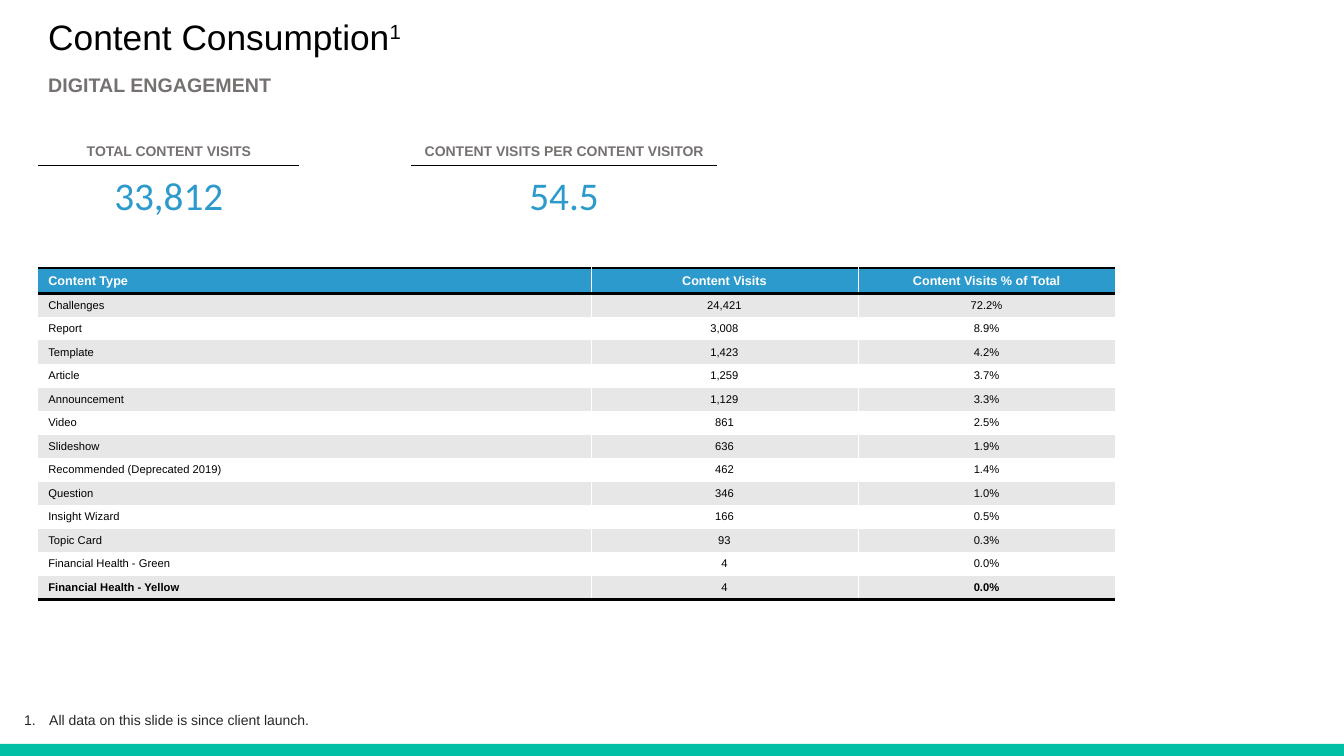
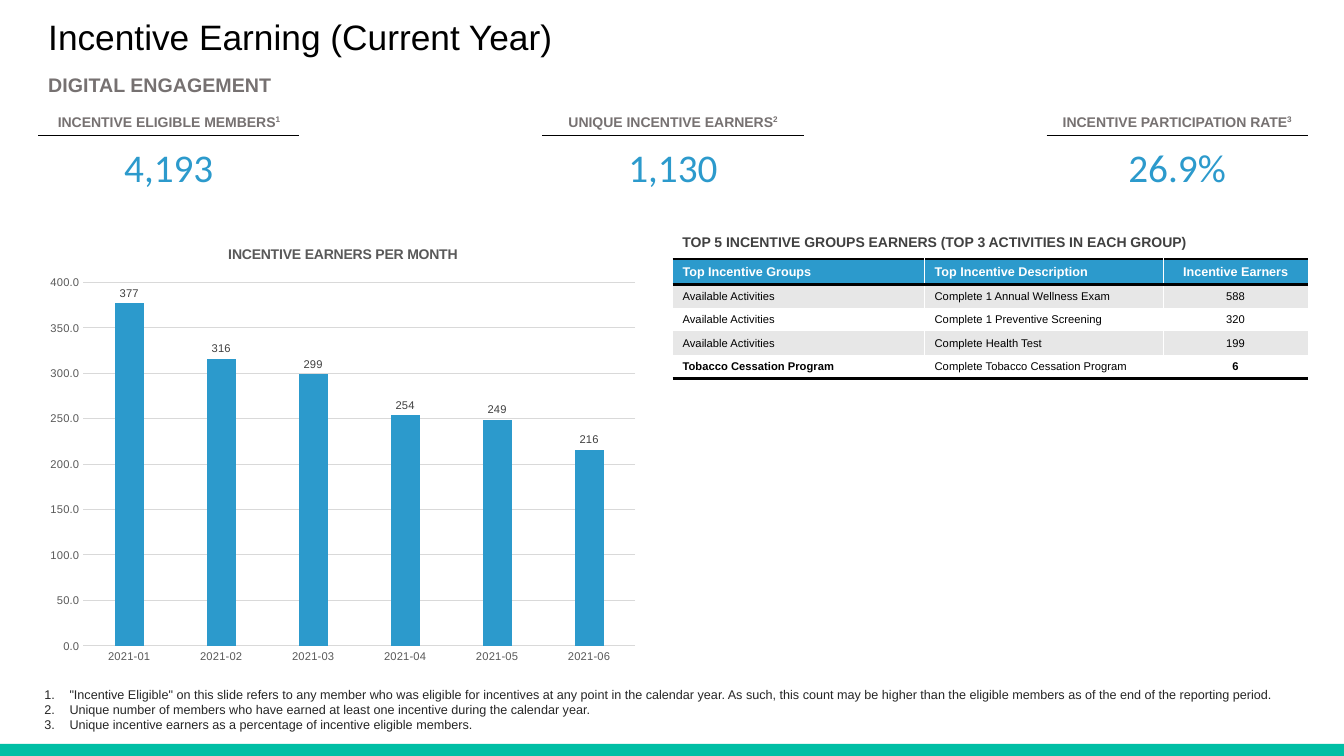
from pptx import Presentation, util as u
from pptx.chart.data import CategoryChartData
from pptx.dml.color import RGBColor
from pptx.enum import chart as ch, shapes, text
from pptx.oxml import parse_xml
from pptx.oxml.ns import nsdecls, qn

IN = u.Inches
BLUE, TEAL, GREY, BLACK, WHITE = "2C9ACC", "00BFA5", "767171", "000000", "FFFFFF"
STRIPE, GRID, AXIS, DARK, NOTE = "E7E7E7", "D9D9D9", "595959", "404040", "262626"
LEFT, MID = text.PP_ALIGN.LEFT, text.PP_ALIGN.CENTER
EDGE = 0.38
PLAIN = "{2D5ABB26-0587-4C30-8999-92F81FD0307C}"


def rgb(code):
    return RGBColor.from_string(code)


def style(font, size, color, bold=False, face="Arial"):
    font.size, font.bold, font.name = u.Pt(size), bold, face
    font.color.rgb = rgb(color)


def write(par, words, sup="", align=LEFT, space=None, **look):
    """Fill a paragraph, with an optional raised mark at its end."""
    par.alignment = align
    if space:
        par.line_spacing = space
    for part in filter(None, (words, sup)):
        run = par.add_run()
        run.text = part
        style(run.font, **look)
    if sup:
        run.font._element.set("baseline", "30000")


def label(slide, box, words, inset=None, middle=False, number=False, **look):
    """Text box with one paragraph for each item of words."""
    frame = slide.shapes.add_textbox(*map(IN, box)).text_frame
    frame.word_wrap = True
    if middle:
        frame.vertical_anchor = text.MSO_ANCHOR.MIDDLE
    if inset is not None:
        frame.margin_left = frame.margin_right = IN(inset)
        frame.margin_top = frame.margin_bottom = IN(inset)
    lines = [words] if isinstance(words, str) else words
    for i, line in enumerate(lines):
        par = frame.add_paragraph() if i else frame.paragraphs[0]
        write(par, line, **look)
        if number:
            props = par._p.get_or_add_pPr()
            props.set("marL", str(IN(0.25)))
            props.set("indent", str(-IN(0.25)))
            props.append(parse_xml(
                f'<a:buAutoNum {nsdecls("a")} type="arabicPeriod"/>'))


def border(cell, **sides):
    """Draw cell edges; each side is a (colour, points) pair."""
    props = cell._tc.get_or_add_tcPr()
    for side in "LRTB":
        if side in sides:
            color, width = sides[side]
            props.append(parse_xml(
                f'<a:ln{side} {nsdecls("a")} w="{u.Pt(width)}"><a:solidFill>'
                f'<a:srgbClr val="{color}"/></a:solidFill></a:ln{side}>'))


def grid(slide, left, top, cols, heights):
    """Unstyled table with the given column widths and row heights."""
    frame = slide.shapes.add_table(
        len(heights), len(cols), IN(left), IN(top), IN(sum(cols)), IN(sum(heights)))
    table = frame.table
    table.first_row = table.horz_banding = False
    next(frame._element.iter(qn("a:tableStyleId"))).text = PLAIN
    for col, width in zip(table.columns, cols):
        col.width = IN(width)
    for row, height in zip(table.rows, heights):
        row.height = IN(height)
    return table


def data_table(slide, left, top, cols, rows, centred):
    """Blue header, striped body and black rules."""
    table = grid(slide, left, top, cols, [0.24] + [0.22] * (len(rows) - 1))
    end, last = len(rows) - 1, len(cols) - 1
    for i, row in enumerate(rows):
        head = i == 0
        for j, words in enumerate(row):
            cell = table.cell(i, j)
            sides = {}
            if j > 0:
                sides["L"] = (WHITE, 0.5)
            if j < last:
                sides["R"] = (WHITE, 0.5)
            if head:
                sides["T"] = (BLACK, 2)
            if i in (0, end):
                sides["B"] = (BLACK, 2)
            border(cell, **sides)
            cell.fill.solid()
            cell.fill.fore_color.rgb = rgb(BLUE if head else STRIPE if i % 2 else WHITE)
            cell.vertical_anchor = text.MSO_ANCHOR.MIDDLE
            write(cell.text_frame.paragraphs[0], words,
                  align=MID if j in centred else LEFT,
                  size=9 if head else 8, color=WHITE if head else BLACK,
                  bold=head or (i == end and j != 1))


def metric(slide, left, top, width, name, value, sup="", height=0.28):
    """Underlined caption with a large figure centred below it."""
    cell = grid(slide, left, top, [width], [height]).cell(0, 0)
    border(cell, B=(BLACK, 1))
    cell.vertical_anchor = text.MSO_ANCHOR.MIDDLE
    write(cell.text_frame.paragraphs[0], name, sup, MID,
          size=10, color=GREY, bold=True)
    label(slide, (left + width / 2 - 1, top + 0.29, 2, 0.57), value,
          align=MID, size=28, color=BLUE, face="Calibri")


def bars(slide, box, title, cats, vals):
    """Column chart of monthly counts."""
    data = CategoryChartData(number_format="#,##0")
    data.categories = cats
    data.add_series("Series 1", vals)
    chart = slide.shapes.add_chart(
        ch.XL_CHART_TYPE.COLUMN_CLUSTERED, *map(IN, box), data).chart
    style(chart.font, 8, BLACK)
    chart.has_legend = False
    chart.has_title = True
    write(chart.chart_title.text_frame.paragraphs[0], title, align=MID,
          size=10, color=AXIS, bold=True)
    chart.chart_title.include_in_layout = False

    # Columns and their labels
    plot = chart.plots[0]
    plot.vary_by_categories = False
    plot.gap_width, plot.overlap = 219, -27
    fill = plot.series[0].format.fill
    fill.solid()
    fill.fore_color.rgb = rgb(BLUE)
    plot.has_data_labels = True
    marks = plot.data_labels
    marks.show_value = True
    marks.position = ch.XL_LABEL_POSITION.OUTSIDE_END
    marks.number_format, marks.number_format_is_linked = "#,##0", False
    style(marks.font, 8, DARK)

    # Axes
    base, scale = chart.category_axis, chart.value_axis
    for axis in (base, scale):
        axis.major_tick_mark = axis.minor_tick_mark = ch.XL_TICK_MARK.NONE
        style(axis.tick_labels.font, 8, AXIS)
    scale.minimum_scale, scale.maximum_scale, scale.major_unit = 0, 400, 50
    scale.tick_labels.number_format = "#,##0.0"
    scale.tick_labels.number_format_is_linked = False
    scale.format.line.fill.background()
    scale.has_major_gridlines = True
    for line in (base.format.line, scale.major_gridlines.format.line):
        line.color.rgb, line.width = rgb(GRID), u.Pt(0.75)


def page(deck, title, sup=""):
    """Blank slide with the shared band, title and section name."""
    slide = deck.slides.add_slide(deck.slide_layouts[6])
    band = slide.shapes.add_shape(
        shapes.MSO_SHAPE.RECTANGLE, 0, IN(7.38), deck.slide_width, IN(0.12))
    band.shadow.inherit = False
    band.fill.solid()
    band.fill.fore_color.rgb = rgb(TEAL)
    band.line.fill.background()
    label(slide, (EDGE, 0.18, 12.58, 0.41), title, sup=sup, middle=True,
          space=0.9, size=25.2, color=BLACK)
    label(slide, (EDGE, 0.7, 4.36, 0.28), "DIGITAL ENGAGEMENT",
          space=0.9, size=14, color=GREY, bold=True)
    return slide


def content(deck):
    slide = page(deck, "Content Consumption", "1")
    metric(slide, EDGE, 1.36, 2.59, "TOTAL CONTENT VISITS", "33,812")
    metric(slide, 4.08, 1.36, 3.03, "CONTENT VISITS PER CONTENT VISITOR", "54.5")
    data_table(slide, EDGE, 2.66, (5.48, 2.65, 2.55), [
        ("Content Type", "Content Visits", "Content Visits % of Total"),
        ("Challenges", "24,421", "72.2%"),
        ("Report", "3,008", "8.9%"),
        ("Template", "1,423", "4.2%"),
        ("Article", "1,259", "3.7%"),
        ("Announcement", "1,129", "3.3%"),
        ("Video", "861", "2.5%"),
        ("Slideshow", "636", "1.9%"),
        ("Recommended (Deprecated 2019)", "462", "1.4%"),
        ("Question", "346", "1.0%"),
        ("Insight Wizard", "166", "0.5%"),
        ("Topic Card", "93", "0.3%"),
        ("Financial Health - Green", "4", "0.0%"),
        ("Financial Health - Yellow", "4", "0.0%"),
    ], centred=(1, 2))
    label(slide, (0.14, 7.01, 11.7, 0.25),
          "All data on this slide is since client launch.",
          number=True, size=10, color=NOTE)


def earning(deck):
    slide = page(deck, "Incentive Earning (Current Year)")
    facts = [("INCENTIVE ELIGIBLE MEMBERS", "4,193"),
             ("UNIQUE INCENTIVE EARNERS", "1,130"),
             ("INCENTIVE PARTICIPATION RATE", "26.9%")]
    for i, (name, value) in enumerate(facts):
        metric(slide, EDGE + 5 * i, 1.08, 2.59, name, value, str(i + 1), 0.26)
    bars(slide, (EDGE, 2.27, 6.04, 4.39), "INCENTIVE EARNERS PER MONTH",
         [f"2021-{month:02}" for month in range(1, 7)],
         (377, 316, 299, 254, 249, 216))
    label(slide, (6.67, 2.27, 5.44, 0.27),
          "TOP 5 INCENTIVE GROUPS EARNERS (TOP 3 ACTIVITIES IN EACH GROUP)",
          size=10, color=DARK, bold=True)
    data_table(slide, 6.67, 2.57, (2.5, 2.37, 1.43), [
        ("Top Incentive Groups", "Top Incentive Description", "Incentive Earners"),
        ("Available Activities", "Complete 1 Annual Wellness Exam", "588"),
        ("Available Activities", "Complete 1 Preventive Screening", "320"),
        ("Available Activities", "Complete Health Test", "199"),
        ("Tobacco Cessation Program", "Complete Tobacco Cessation Program", "6"),
    ], centred=(2,))
    label(slide, (EDGE, 6.75, 12.44, 0.57), [
        '"Incentive Eligible" on this slide refers to any member who was eligible '
        "for incentives at any point in the calendar year. As such, this count may "
        "be higher than the eligible members as of the end of the reporting period.",
        "Unique number of members who have earned at least one incentive during "
        "the calendar year.",
        "Unique incentive earners as a percentage of incentive eligible members.",
    ], inset=0.06, middle=True, number=True, size=9, color=NOTE)


def main():
    deck = Presentation()
    deck.slide_width, deck.slide_height = IN(13.33), IN(7.5)
    content(deck)
    earning(deck)
    deck.save("out.pptx")


if __name__ == "__main__":
    main()
